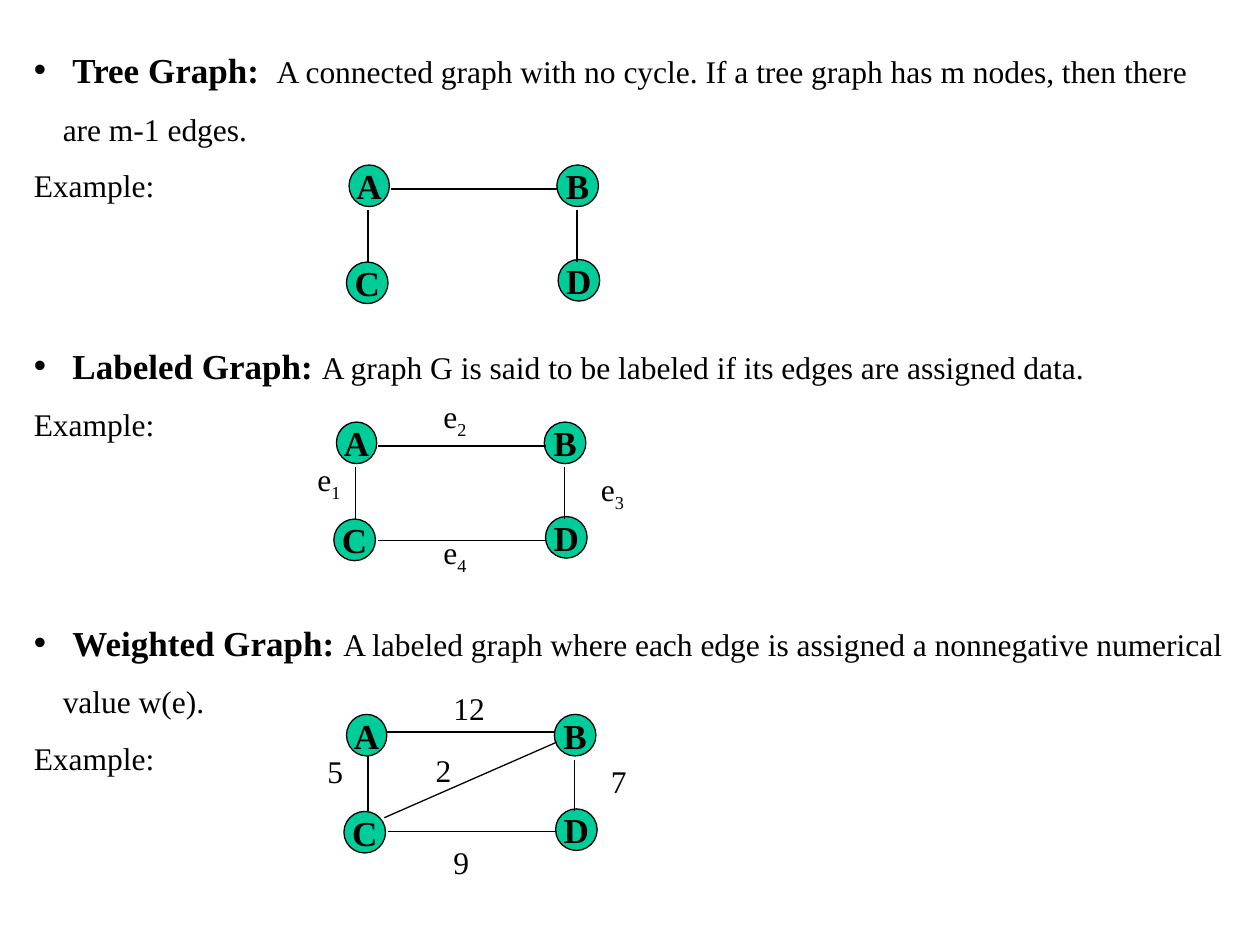
"""Build a slide that defines tree, labeled and weighted graphs."""
from dataclasses import dataclass

from lxml import etree
from pptx import Presentation
from pptx import util as u
from pptx.dml import color
from pptx.enum import shapes, text
from pptx.oxml import ns


@dataclass(frozen=True)
class Theme:
    """Colours, fonts and sizes of the slide."""
    ink: color.RGBColor = color.RGBColor(0, 0, 0)
    node: color.RGBColor = color.RGBColor(0x00, 0xCC, 0x99)
    serif: str = "Times New Roman"
    sans: str = "Arial"
    large: u.Pt = u.Pt(20)
    body: u.Pt = u.Pt(18)
    line: u.Pt = u.Pt(0.75)


T = Theme()
HEAD = dict(size=T.large, name=T.serif, bold=True)
BODY = dict(size=T.body, name=T.serif, bold=False)
HANG = 0.23

DEFINITIONS = [
    ("Tree Graph:  ", "A connected graph with no cycle. If a tree graph has m nodes, "
     "then there are m-1 edges.", 0),
    ("Labeled Graph: ", "A graph G is said to be labeled if its edges are assigned data.", 68),
    ("Weighted Graph: ", "A labeled graph where each edge is assigned a nonnegative "
     "numerical value w(e).", 90),
]

NODES = {"A": (0.02, 0, 0.32), "B": (1.67, 0, 0.33),
         "C": (0, 0.77, 0.33), "D": (1.68, 0.75, 0.33)}
EDGES = {"AB": (0.35, 0.19, 1.68, 0.19), "AC": (0.17, 0.36, 0.17, 0.77),
         "BD": (1.83, 0.36, 1.83, 0.77), "CD": (0.35, 0.94, 1.68, 0.94)}
WEIGHTED_EDGES = {**EDGES, "AB": (0.33, 0.14, 1.67, 0.14), "AC": (0.19, 0.33, 0.19, 0.77),
                  "CD": (0.35, 0.93, 1.69, 0.93), "BC": (1.69, 0.22, 0.32, 0.82)}
TREE_EDGES = {k: EDGES[k] for k in ("AB", "AC", "BD")}
SPOTS = {"AC": (-0.23, 0.25), "AB": (0.77, -0.25), "BD": (2.02, 0.33),
         "CD": (0.77, 0.83), "BC": (0.63, 0.24)}
WEIGHT_SPOTS = {**SPOTS, "CD": (0.77, 0.97)}

GRAPHS = [
    ((2.75, 1.31), TREE_EDGES, SPOTS, {}),
    ((2.65, 3.35), EDGES, SPOTS,
     {"AC": ("e", "1"), "AB": ("e", "2"), "BD": ("e", "3"), "CD": ("e", "4")}),
    ((2.73, 5.67), WEIGHTED_EDGES, WEIGHT_SPOTS,
     {"AC": ("5", ""), "AB": ("12", ""), "BD": ("7", ""), "CD": ("9", ""), "BC": ("2", "")}),
]


def apply(target, values):
    """Set each attribute of target from a dict."""
    for name, value in values.items():
        setattr(target, name, value)


def add_run(p, words, fmt):
    """Add a formatted run in the ink colour."""
    r = p.add_run()
    r.text = words
    apply(r.font, fmt)
    r.font.color.rgb = T.ink
    return r


def add_bullet(p):
    """Give a paragraph a round bullet with a hanging indent."""
    pPr = p._p.get_or_add_pPr()
    pPr.set("marL", str(u.Inches(HANG)))
    pPr.set("indent", str(-u.Inches(HANG)))
    etree.SubElement(pPr, ns.qn("a:buFont")).set("typeface", T.sans)
    etree.SubElement(pPr, ns.qn("a:buChar")).set("char", "•")


def add_textbox(s, x, y, w, h):
    """Add a wrapping text box and return its frame."""
    tf = s.shapes.add_textbox(*map(u.Inches, (x, y, w, h))).text_frame
    tf.word_wrap = True
    return tf


def add_definitions(s):
    """Write each definition followed by its example line."""
    tf = add_textbox(s, 0.17, 0.17, 9.67, 6.05)
    for i, (term, meaning, gap) in enumerate(DEFINITIONS):
        p = tf.add_paragraph() if i else tf.paragraphs[0]
        add_bullet(p)
        apply(p, dict(line_spacing=1.5, space_before=u.Pt(gap)))
        add_run(p, " ", {**HEAD, "name": T.sans})
        add_run(p, term, HEAD)
        add_run(p, meaning, BODY)
        p = tf.add_paragraph()
        p.line_spacing = 1.5
        add_run(p, "Example:", BODY)


def add_node(s, name, x, y, w):
    """Draw a named graph node."""
    sp = s.shapes.add_shape(shapes.MSO_SHAPE.OVAL, *map(u.Inches, (x, y, w, 0.33)))
    sp.shadow.inherit = False
    sp.fill.solid()
    sp.fill.fore_color.rgb = T.node
    sp.line.color.rgb = T.ink
    sp.line.width = T.line
    tf = sp.text_frame
    apply(tf, dict(word_wrap=False, vertical_anchor=text.MSO_ANCHOR.MIDDLE))
    p = tf.paragraphs[0]
    p.alignment = text.PP_ALIGN.CENTER
    add_run(p, name, HEAD)


def add_edge(s, x1, y1, x2, y2):
    """Draw a straight graph edge."""
    sp = s.shapes.add_connector(shapes.MSO_CONNECTOR.STRAIGHT,
                                *map(u.Inches, (x1, y1, x2, y2)))
    sp.line.color.rgb = T.ink
    sp.line.width = T.line
    etree.SubElement(sp._element.spPr, ns.qn("a:effectLst"))


def add_label(s, x, y, base, sub):
    """Write an edge label with an optional subscript."""
    p = add_textbox(s, x, y, 0.5, 0.44 if sub else 0.4).paragraphs[0]
    add_run(p, base, BODY)
    if sub:
        r = add_run(p, sub, BODY)
        r._r.get_or_add_rPr().set("baseline", "-25000")


def add_graph(s, origin, edges, spots, labels):
    """Draw nodes, edges and labels relative to an origin."""
    x, y = origin
    for name, (dx, dy, w) in NODES.items():
        add_node(s, name, x + dx, y + dy, w)
    for x1, y1, x2, y2 in edges.values():
        add_edge(s, x + x1, y + y1, x + x2, y + y2)
    for edge, (base, sub) in labels.items():
        dx, dy = spots[edge]
        add_label(s, x + dx, y + dy, base, sub)


def main():
    """Build and save the slide."""
    prs = Presentation()
    apply(prs, dict(slide_width=u.Inches(10), slide_height=u.Inches(7.5)))
    s = prs.slides.add_slide(prs.slide_layouts[6])
    add_definitions(s)
    for graph in GRAPHS:
        add_graph(s, *graph)
    prs.save("out.pptx")


if __name__ == "__main__":
    main()
